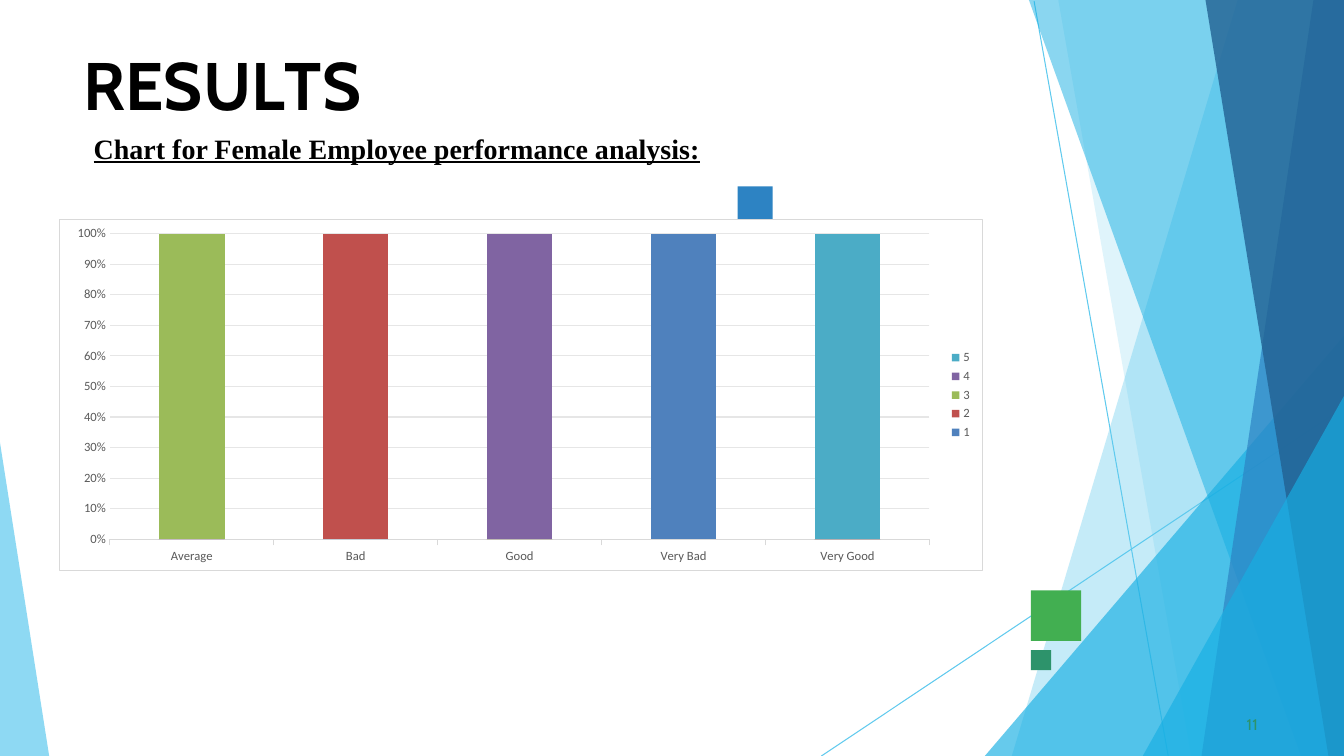
from dataclasses import dataclass
from typing import Any, Optional

from lxml.etree import SubElement
from pptx import Presentation
from pptx.chart.data import CategoryChartData
from pptx.dml.color import RGBColor
from pptx.enum.chart import XL_CHART_TYPE as ChartType, XL_TICK_MARK as TickMark
from pptx.enum.chart import XL_LEGEND_POSITION as LegendPosition
from pptx.enum.shapes import MSO_CONNECTOR as Connector, MSO_SHAPE as ShapeType
from pptx.enum.text import MSO_ANCHOR as Anchor, MSO_AUTO_SIZE as AutoSize, PP_ALIGN as Align
from pptx.oxml import parse_xml
from pptx.oxml.ns import nsdecls, qn
from pptx.util import Cm, Pt

WIDTH, HEIGHT = 33.87, 19.05
COLORS = {
    "sky": "5FCAEE", "cyan": "17AFE3", "blue": "2D83C3", "navy": "226192",
    "green": "42AF51", "teal": "2D936B", "black": "000000", "white": "FFFFFF",
    "label": "595959", "border": "D9D9D9", "grid": "E6E6E6",
    "1": "4F81BD", "2": "C0504D", "3": "9BBB59", "4": "8064A2", "5": "4BACC6",
}
RATINGS = {"Average": "3", "Bad": "2", "Good": "4", "Very Bad": "1", "Very Good": "5"}


@dataclass
class Ray:
    start: tuple[float, float]
    end: tuple[float, float]


@dataclass
class Facet:
    points: list[tuple[float, float]]
    color: str
    opacity: int


@dataclass
class Square:
    left: float
    top: float
    side: float
    color: str


@dataclass
class Label:
    box: tuple[float, float, float, float]
    pieces: list[tuple[str, Optional[float]]]
    font: dict[str, Any]
    color: str
    frame: dict[str, Any]
    paragraph: dict[str, Any]


def right_facet(top_left: float, bottom_left: float, color: str, opacity: int) -> Facet:
    """Describe a facet that spans the full height along the right edge."""
    points = [(WIDTH, 0), (top_left, 0), (bottom_left, HEIGHT), (WIDTH, HEIGHT)]
    return Facet(points, color, opacity)


RAYS = [Ray((26.06, 0.03), (29.44, HEIGHT)), Ray((WIDTH, 10.26), (20.7, HEIGHT))]
FACETS = [
    right_facet(31.19, 25.5, "sky", 36),
    right_facet(26.67, 30.02, "sky", 20),
    Facet([(WIDTH, 8.46), (24.82, HEIGHT), (WIDTH, HEIGHT)], "cyan", 66),
    right_facet(25.93, 32.79, "cyan", 50),
    right_facet(33.1, 30.28, "blue", 70),
    right_facet(30.38, 33.48, "navy", 80),
    Facet([(WIDTH, 9.98), (28.8, HEIGHT), (WIDTH, HEIGHT)], "cyan", 66),
    Facet([(0, 11.15), (0, HEIGHT), (1.24, HEIGHT)], "sky", 70),
]
SQUARES = [
    Square(25.98, 14.88, 1.27, "green"),
    Square(18.59, 4.7, 0.88, "blue"),
    Square(25.98, 16.38, 0.51, "teal"),
]
TIGHT = {"margin_left": 0, "margin_right": 0, "margin_top": Cm(0.03), "margin_bottom": 0}
TITLE = Label(
    (2.11, 1.07, 29.67, 2.11),
    [("R", None), ("E", -0.4), ("S", 0.1), ("U", -0.3), ("L", -4), ("TS", 0)],
    {"name": "Cabin", "size": Pt(48), "bold": True}, "black",
    TIGHT, {"space_before": Pt(1.1)},
)
SUBTITLE = Label(
    (2.11, 3.18, 16.51, 1.12), [("Chart for Female Employee performance analysis:", None)],
    {"name": "Times New Roman", "size": Pt(20), "bold": True, "underline": True},
    "black", {}, {},
)
PAGE_NUMBER = Label(
    (31.32, 17.98, 0.64, 0.53), [("11", 0.1)], {"name": "Cabin", "size": Pt(11)}, "teal",
    {**TIGHT, "margin_left": Cm(0.1)}, {"space_before": Pt(0.6)},
)


def color_of(name: str) -> RGBColor:
    """Look up a colour by name."""
    return RGBColor.from_string(COLORS[name])


def apply(target: Any, values: dict[str, Any]) -> None:
    """Set every named attribute on the target."""
    for name, value in values.items():
        setattr(target, name, value)


def paint(shape: Any, color: str) -> None:
    """Give a shape a flat fill without line or shadow."""
    shape.shadow.inherit = False
    shape.fill.solid()
    shape.fill.fore_color.rgb = color_of(color)
    shape.line.fill.background()


def draw_ray(slide: Any, ray: Ray) -> None:
    """Draw one thin background line."""
    ends = [Cm(value) for value in (*ray.start, *ray.end)]
    line = slide.shapes.add_connector(Connector.STRAIGHT, *ends)
    line.line.color.rgb = color_of("sky")
    line.line.width = Pt(0.75)
    SubElement(line._element.spPr, qn("a:effectLst"))


def draw_facet(slide: Any, facet: Facet) -> None:
    """Draw one translucent polygon."""
    first, *others = [(Cm(x), Cm(y)) for x, y in facet.points]
    builder = slide.shapes.build_freeform(*first, scale=1.0)
    builder.add_line_segments(others, close=True)
    shape = builder.convert_to_shape()
    paint(shape, facet.color)
    fill_color = shape._element.spPr.find(qn("a:solidFill"))[0]
    SubElement(fill_color, qn("a:alpha")).set("val", str(facet.opacity * 1000))


def draw_square(slide: Any, square: Square) -> None:
    """Draw one accent square."""
    box = [Cm(value) for value in (square.left, square.top, square.side, square.side)]
    paint(slide.shapes.add_shape(ShapeType.RECTANGLE, *box), square.color)


def write_label(shape: Any, label: Label) -> None:
    """Place a text shape and fill it with formatted runs."""
    apply(shape, dict(zip(("left", "top", "width", "height"), map(Cm, label.box))))
    frame = shape.text_frame
    apply(frame, {"word_wrap": True, "auto_size": AutoSize.NONE,
                  "vertical_anchor": Anchor.TOP, **label.frame})
    paragraph = frame.paragraphs[0]
    apply(paragraph, {"alignment": Align.LEFT, **label.paragraph})
    for text, spacing in label.pieces:
        run = paragraph.add_run()
        run.text = text
        apply(run.font, label.font)
        run.font.color.rgb = color_of(label.color)
        if spacing is not None:
            run._r.get_or_add_rPr().set("spc", str(round(spacing * 100)))


def draw_chart(slide: Any) -> None:
    """Draw the stacked performance chart."""
    data = CategoryChartData()
    data.categories = list(RATINGS)
    for name in sorted(RATINGS.values()):
        data.add_series(name, [100 * (rating == name) for rating in RATINGS.values()])
    box = [Cm(value) for value in (1.48, 5.51, 23.29, 8.89)]
    chart = slide.shapes.add_chart(ChartType.COLUMN_STACKED_100, *box, data).chart
    apply(chart, {"has_title": False, "has_legend": True})
    apply(chart.legend, {"position": LegendPosition.RIGHT, "include_in_layout": False})
    plot, categories, values = chart.plots[0], chart.category_axis, chart.value_axis
    apply(plot, {"gap_width": 150, "overlap": 100, "vary_by_categories": False})
    for series in plot.series:
        series.format.fill.solid()
        series.format.fill.fore_color.rgb = color_of(series.name)
    for part in (chart, chart.legend, categories.tick_labels, values.tick_labels):
        apply(part.font, {"name": "Calibri", "size": Pt(9)})
        part.font.color.rgb = color_of("label")
    categories.major_tick_mark = TickMark.OUTSIDE
    apply(values, {"major_tick_mark": TickMark.NONE, "has_major_gridlines": True})
    apply(values.tick_labels, {"number_format": "0%", "number_format_is_linked": False})
    values.format.line.fill.background()
    for part, color in ((categories, "border"), (values.major_gridlines, "grid")):
        part.format.line.color.rgb = color_of(color)
        part.format.line.width = Pt(0.75)
    chart._chartSpace.find(qn("c:chart")).addnext(parse_xml(
        f'<c:spPr {nsdecls("c", "a")}><a:solidFill><a:srgbClr val="{COLORS["white"]}"/>'
        f'</a:solidFill><a:ln w="{int(Pt(0.75))}"><a:solidFill>'
        f'<a:srgbClr val="{COLORS["border"]}"/></a:solidFill></a:ln></c:spPr>'))


presentation = Presentation()
apply(presentation, {"slide_width": Cm(WIDTH), "slide_height": Cm(HEIGHT)})
results = presentation.slides.add_slide(presentation.slide_layouts[5])
for items, draw in ((RAYS, draw_ray), (FACETS, draw_facet), (SQUARES, draw_square)):
    for item in items:
        draw(results, item)
write_label(results.shapes.title, TITLE)
for text_label in (PAGE_NUMBER, SUBTITLE):
    write_label(results.shapes.add_textbox(*map(Cm, text_label.box)), text_label)
draw_chart(results)
presentation.save("out.pptx")
